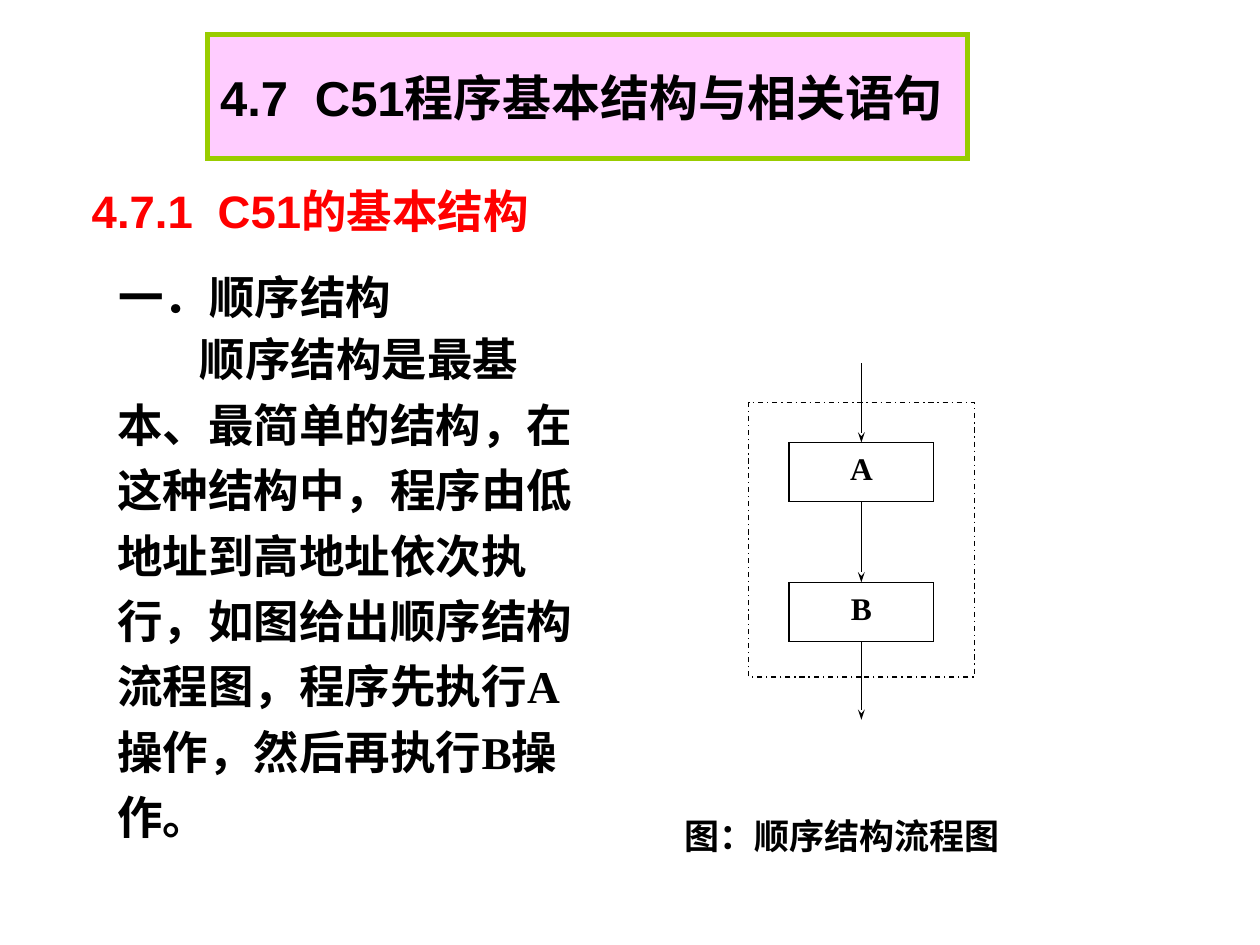
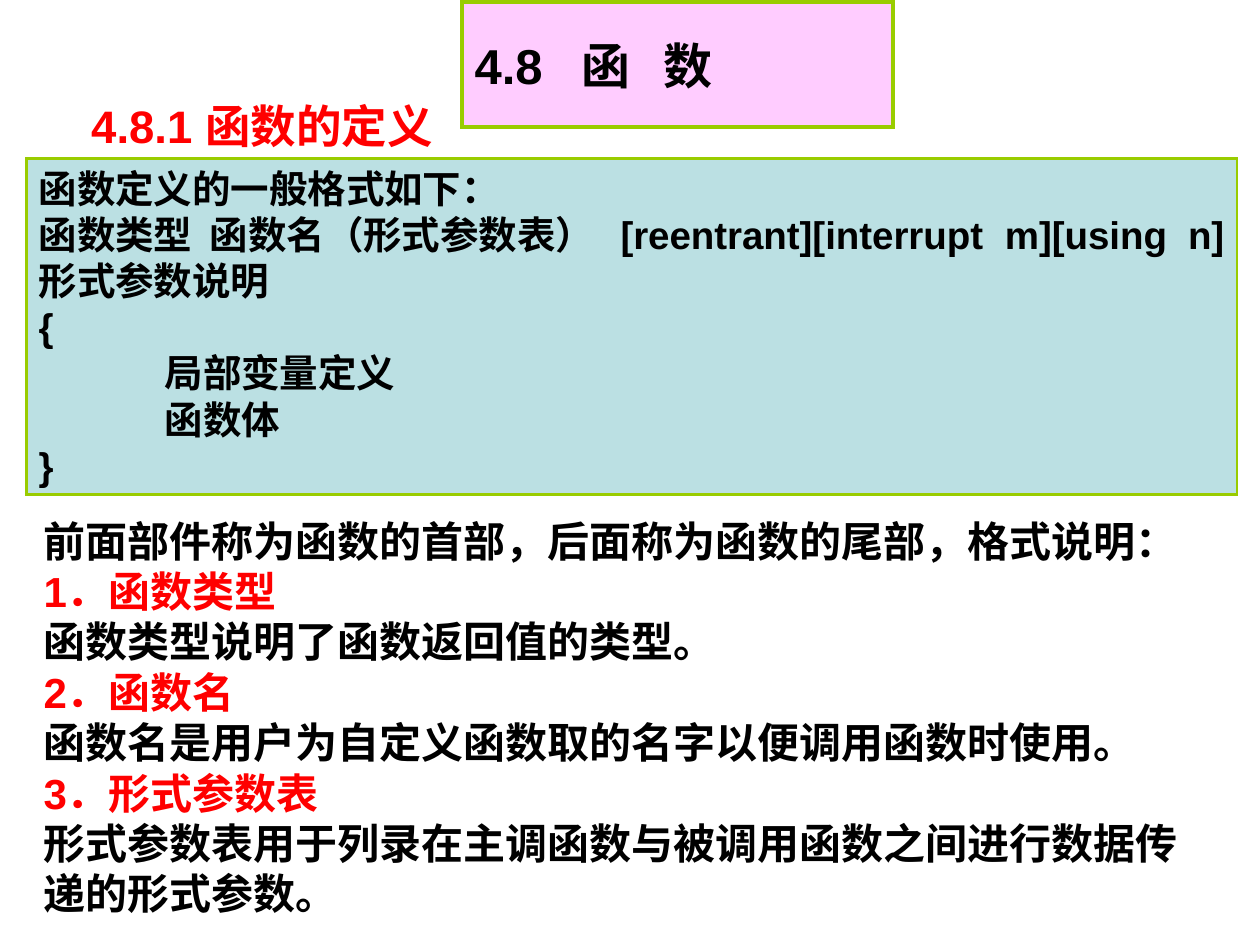
from lxml import etree
from pptx import Presentation
from pptx.dml.color import RGBColor
from pptx.enum import dml, shapes, text
from pptx.oxml.ns import qn
from pptx.util import Cm, Pt

BLACK = RGBColor(0x00, 0x00, 0x00)
WHITE = RGBColor(0xFF, 0xFF, 0xFF)
RED = RGBColor(0xFF, 0x00, 0x00)
PINK = RGBColor(0xFF, 0xCC, 0xFF)
GREEN = RGBColor(0x99, 0xCC, 0x00)
TEAL = RGBColor(0xBB, 0xE0, 0xE3)
SANS, SERIF = "Arial", "Times New Roman"
INSET = 0.25


def set_attrs(obj, **values):
    """Set each named value on an object."""
    for name, value in values.items():
        setattr(obj, name, value)


def add_tabs(p, stops):
    """Give a paragraph left tab stops, in centimetres."""
    tabs = etree.SubElement(p._p.get_or_add_pPr(), qn("a:tabLst"))
    for stop in stops:
        etree.SubElement(tabs, qn("a:tab"), pos=str(Cm(stop)), algn="l")


def add_lines(sp, lines, size, font=SANS, color=BLACK, left=INSET, right=INSET,
              anchor=text.MSO_ANCHOR.MIDDLE, align=text.PP_ALIGN.LEFT):
    """Fill a shape with bold paragraphs given as (text, options) pairs."""
    tf = sp.text_frame
    set_attrs(tf, word_wrap=True, vertical_anchor=anchor,
              margin_left=Cm(left), margin_right=Cm(right),
              margin_top=Cm(0.13), margin_bottom=Cm(0.13))
    for i, (line, options) in enumerate(lines):
        p = tf.paragraphs[0] if i == 0 else tf.add_paragraph()
        p.alignment = align
        if "spacing" in options:
            p.line_spacing = options["spacing"]
        pPr = p._p.get_or_add_pPr()
        pPr.set("hangingPunct", "0")
        for name in {"marL", "indent"} & options.keys():
            pPr.set(name, str(Cm(options[name])))
        if "tabs" in options:
            add_tabs(p, options["tabs"])
        r = p.add_run()
        r.text = line
        set_attrs(r.font, name=font, size=Pt(size), bold=True)
        r.font.color.rgb = options.get("color", color)


def add_text(s, box, lines, size, **style):
    """Add a text box."""
    add_lines(s.shapes.add_textbox(*map(Cm, box)), lines, size, **style)


def add_panel(s, kind, box, fill, line, width):
    """Add a flat outlined shape with sharp corners."""
    sp = s.shapes.add_shape(kind, *map(Cm, box))
    sp.shadow.inherit = False
    if fill is None:
        sp.fill.background()
    else:
        sp.fill.solid()
        sp.fill.fore_color.rgb = fill
    sp.line.color.rgb = line
    sp.line.width = Pt(width)
    etree.SubElement(sp.line._get_or_add_ln(), qn("a:miter"), lim="800000")
    return sp


def add_title(s, box, title, tabs, width):
    """Add the pink section title band."""
    sp = add_panel(s, shapes.MSO_SHAPE.RECTANGLE, box, PINK, GREEN, width)
    add_lines(sp, [(title, {"tabs": tabs})], 28, right=0)


def add_heading(s, box, heading, tabs=()):
    """Add the red subsection heading."""
    add_text(s, box, [(heading, {"tabs": tabs})], 26, color=RED, right=0)


def add_arrow(s, x, top, bottom, start=None, end=None):
    """Add a downward arrow, joined to the boxes it meets."""
    c = s.shapes.add_connector(shapes.MSO_CONNECTOR.STRAIGHT,
                               *map(Cm, (x, top, x, bottom)))
    if start is not None:
        c.begin_connect(start, 2)
    if end is not None:
        c.end_connect(end, 0)
    c.line.color.rgb = BLACK
    c.line.width = Pt(0.75)
    etree.SubElement(c.line._get_or_add_ln(), qn("a:tailEnd"),
                     type="stealth", w="sm", len="med")
    etree.SubElement(c._element.spPr, qn("a:effectLst"))


def add_flowchart(s, x, y, w, h):
    """Draw the two-step sequence inside its dash-dot frame."""
    step_w, step_h, pitch, pad = 2.92, 1.19, 2.82, 0.81
    mid = x + w / 2
    first = y + pad
    last = first + pitch + step_h
    steps = []
    for i, name in enumerate("AB"):
        box = (mid - step_w / 2, first + i * pitch, step_w, step_h)
        sp = add_panel(s, shapes.MSO_SHAPE.FLOWCHART_PROCESS, box, WHITE, BLACK, 0.75)
        add_lines(sp, [(name, {})], 18, font=SERIF,
                  anchor=text.MSO_ANCHOR.TOP, align=text.PP_ALIGN.CENTER)
        steps.append(sp)
    a, b = steps
    add_arrow(s, mid, first - 1.6, first, end=a)
    add_arrow(s, mid, first + step_h, first + pitch, a, b)
    add_arrow(s, mid, last, last + 1.58, start=b)
    frame = add_panel(s, shapes.MSO_SHAPE.RECTANGLE, (x, y, w, h), None, BLACK, 0.75)
    frame.line.dash_style = dml.MSO_LINE.DASH_DOT


def add_syntax(s, box):
    """Add the panel with the general form of a function definition."""
    sp = add_panel(s, shapes.MSO_SHAPE.RECTANGLE, box, TEAL, GREEN, 1.5)
    inner = {"marL": 2.54, "indent": 0}
    add_lines(sp, [
        ("函数定义的一般格式如下：", {}),
        ("函数类型\t函数名（形式参数表）\t[reentrant][interrupt\tm][using\tn]",
         {"tabs": (3.45, 11.73, 19.48, 23.17)}),
        ("形式参数说明", {}),
        ("{", {}),
        ("局部变量定义", inner),
        ("函数体", inner),
        ("}", {}),
    ], 22, right=0)


def add_notes_on_parts(s, box):
    """Explain the parts of the definition, with red numbered names."""
    parts = [
        ("函数类型", "函数类型说明了函数返回值的类型。"),
        ("函数名", "函数名是用户为自定义函数取的名字以便调用函数时使用。"),
        ("形式参数表", "形式参数表用于列录在主调函数与被调用函数之间进行数据传递的形式参数。"),
    ]
    lines = [("前面部件称为函数的首部，后面称为函数的尾部，格式说明：", {})]
    for number, (name, meaning) in enumerate(parts, 1):
        lines += [(f"{number}．{name}", {"color": RED}), (meaning, {})]
    add_text(s, box, lines, 24)


def build_structure_slide(s):
    """Build the slide on sequential structure."""
    add_title(s, (4.19, 0.69, 15.32, 2.51), "4.7\tC51程序基本结构与相关语句", (1.91,), 3)
    add_heading(s, (1.6, 3.2, 9.55, 2.08), "4.7.1\tC51的基本结构", (2.54,))
    add_text(s, (2.13, 5.28, 6.02, 1.37), [("一．顺序结构", {})], 26, right=0)
    add_text(s, (2.11, 6.3, 9.98, 10.87), [(
        "顺序结构是最基本、最简单的结构，在这种结构中，程序由低地址到高地址依次执行，"
        "如图给出顺序结构流程图，程序先执行A操作，然后再执行B操作。",
        {"spacing": 1.2, "marL": 0, "indent": 1.67})], 26, font=SERIF)
    add_flowchart(s, 15.09, 8.11, 4.55, 5.54)
    add_text(s, (13.55, 16.3, 6.86, 1.1), [("图：顺序结构流程图", {})], 20,
             font=SERIF, left=0, right=0, align=text.PP_ALIGN.CENTER)


def build_function_slide(s):
    """Build the slide on function definitions."""
    add_title(s, (9.32, 0.05, 8.69, 2.51), "4.8\t函\t数", (2.16, 3.8), 2.25)
    add_heading(s, (1.59, 1.49, 7.62, 2.08), "4.8.1 函数的定义")
    add_syntax(s, (0.53, 3.19, 24.41, 6.78))
    add_notes_on_parts(s, (0.63, 10.26, 24.13, 8.38))


def main():
    """Build and save both slides."""
    prs = Presentation()
    set_attrs(prs, slide_width=Cm(25.4), slide_height=Cm(19.05))
    for build in (build_structure_slide, build_function_slide):
        build(prs.slides.add_slide(prs.slide_layouts[6]))
    prs.save("out.pptx")


if __name__ == "__main__":
    main()
